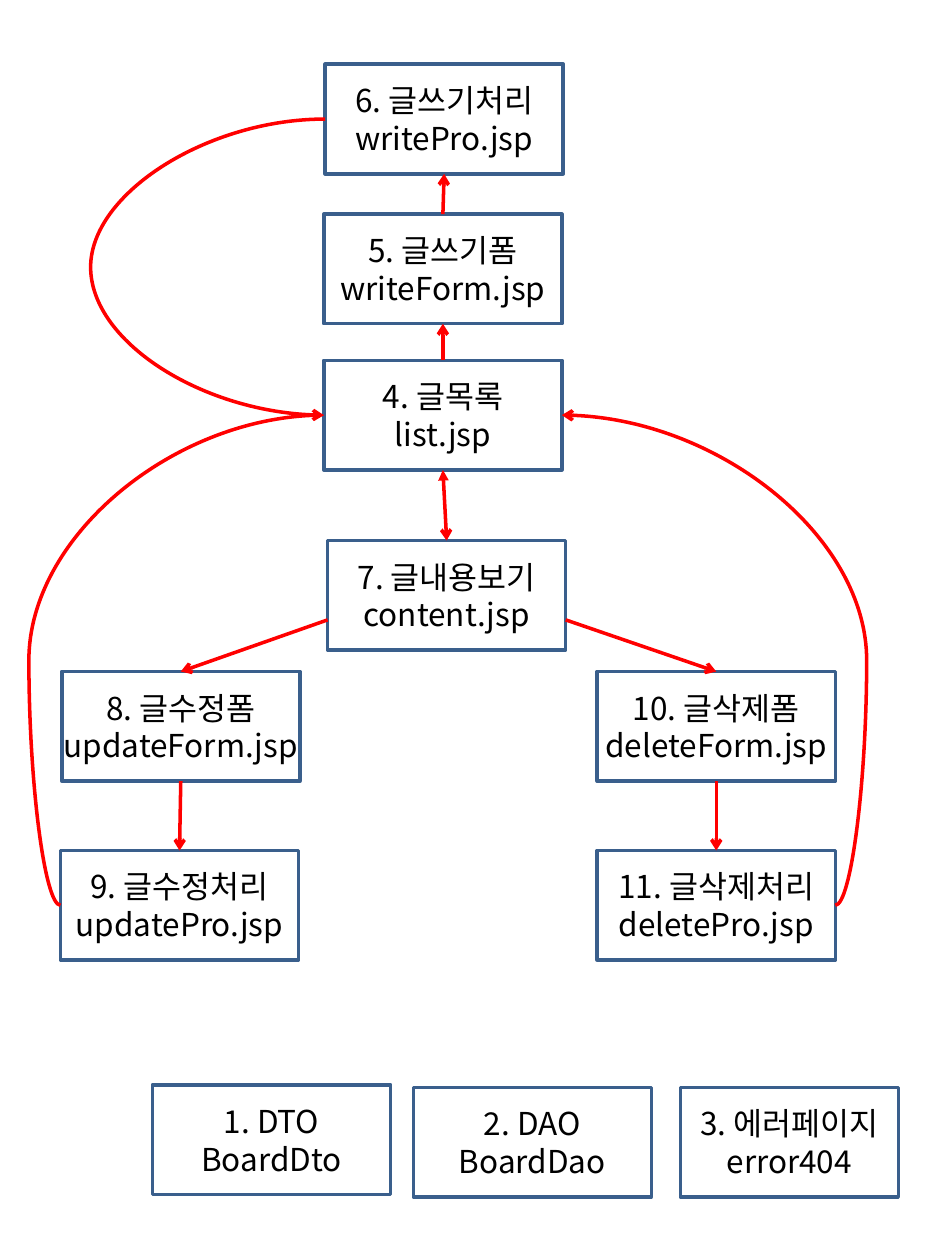
from lxml import etree
from pptx import Presentation
from pptx.dml.color import RGBColor
from pptx.enum.shapes import MSO_CONNECTOR, MSO_SHAPE
from pptx.enum.text import MSO_ANCHOR, PP_ALIGN
from pptx.oxml.ns import qn
from pptx.util import Inches, Pt

RECT = MSO_SHAPE.RECTANGLE
STRAIGHT, CURVE = MSO_CONNECTOR.STRAIGHT, MSO_CONNECTOR.CURVE
MIDDLE, CENTER = MSO_ANCHOR.MIDDLE, PP_ALIGN.CENTER
TOP, LEFT, BOTTOM, RIGHT = range(4)  # connection sites of a rectangle
COLORS = {"box": "3A5F8C", "arrow": "FF0000", "text": "000000"}
FONT = "Noto Sans CJK KR"
BOX_W, BOX_H = 1.89, 0.87
FRAME = {"margin_left": 0, "margin_right": 0, "margin_top": 0,
         "margin_bottom": 0, "vertical_anchor": MIDDLE, "word_wrap": True}

prs = Presentation()
prs.slide_width, prs.slide_height = Inches(7.5), Inches(10)
s = prs.slides.add_slide(prs.slide_layouts[6])


def add_box(x, y, w, lines):
    """Add an outlined box with one centred paragraph per line."""
    sp = s.shapes.add_shape(RECT, Inches(x), Inches(y), Inches(w), Inches(BOX_H))
    sp.shadow.inherit = False
    sp.fill.background()
    sp.line.color.rgb = RGBColor.from_string(COLORS["box"])
    sp.line.width = Pt(2)
    tf = sp.text_frame
    for name, value in FRAME.items():
        setattr(tf, name, value)
    for i, line in enumerate(lines):
        p = tf.add_paragraph() if i else tf.paragraphs[0]
        p.alignment = CENTER
        r = p.add_run()
        r.text = line
        r.font.size, r.font.name = Pt(18), FONT
        r.font.color.rgb = RGBColor.from_string(COLORS["text"])
        etree.SubElement(r.font._element, qn("a:ea"), typeface=FONT)
    return sp


def add_arrow(kind, start, end, tail="arrow", head=None, bend=None):
    """Join two (box, site) ends; bend is the x of a curve's far side."""
    c = s.shapes.add_connector(kind, 0, 0, 0, 0)
    c.begin_connect(*start)
    c.end_connect(*end)
    c.line.color.rgb = RGBColor.from_string(COLORS["arrow"])
    c.line.width = Pt(2)
    ln = c.line._get_or_add_ln()
    for tag, shape in (("a:headEnd", head), ("a:tailEnd", tail)):
        if shape:
            etree.SubElement(ln, qn(tag), type=shape)
    etree.SubElement(c._element.spPr, qn("a:effectLst"))
    if bend is not None:
        share = (Inches(bend) - c.begin_x) / (c.end_x - c.begin_x)
        guides = c._element.spPr.find(qn("a:prstGeom")).find(qn("a:avLst"))
        etree.SubElement(guides, qn("a:gd"), name="adj1",
                         fmla=f"val {round(share * 100000)}")
    return c


pages = {
    1: (1.21, 8.61, BOX_W, "DTO", "BoardDto"),
    2: (3.28, 8.63, BOX_W, "DAO", "BoardDao"),
    3: (5.4, 8.63, 1.73, "에러페이지", "error404"),
    4: (2.57, 2.86, BOX_W, "글목록", "list.jsp"),
    5: (2.57, 1.7, BOX_W, "글쓰기폼", "writeForm.jsp"),
    6: (2.58, 0.51, BOX_W, "글쓰기처리", "writePro.jsp"),
    7: (2.6, 4.29, BOX_W, "글내용보기", "content.jsp"),
    8: (0.49, 5.33, BOX_W, "글수정폼", "updateForm.jsp"),
    9: (0.48, 6.75, BOX_W, "글수정처리", "updatePro.jsp"),
    10: (4.74, 5.33, BOX_W, "글삭제폼", "deleteForm.jsp"),
    11: (4.74, 6.75, BOX_W, "글삭제처리", "deletePro.jsp"),
}
box = {n: add_box(x, y, w, (f"{n}. {title}", page))
       for n, (x, y, w, title, page) in pages.items()}

# Straight steps between neighbouring pages
for a, a_site, b, b_site, head in [
    (4, TOP, 5, BOTTOM, None),
    (5, TOP, 6, BOTTOM, None),
    (4, BOTTOM, 7, TOP, "triangle"),
    (8, BOTTOM, 9, TOP, None),
    (10, BOTTOM, 11, TOP, None),
]:
    add_arrow(STRAIGHT, (box[a], a_site), (box[b], b_site), head=head)

# Branches leave the lower part of the content page's sides
for side, target in ((LEFT, 8), (RIGHT, 10)):
    c = add_arrow(STRAIGHT, (box[7], side), (box[target], TOP))
    cnv = c._element.nvCxnSpPr.cNvCxnSpPr
    cnv.remove(cnv.find(qn("a:stCxn")))
    c.begin_y = Inches(4.92)

# Curves back to the list
for source, side, bend, tail in [
    (9, LEFT, 0.23, "triangle"),
    (6, LEFT, 0.69, "arrow"),
    (11, RIGHT, 6.88, "arrow"),
]:
    add_arrow(CURVE, (box[source], side), (box[4], side), tail=tail, bend=bend)

prs.save("out.pptx")
